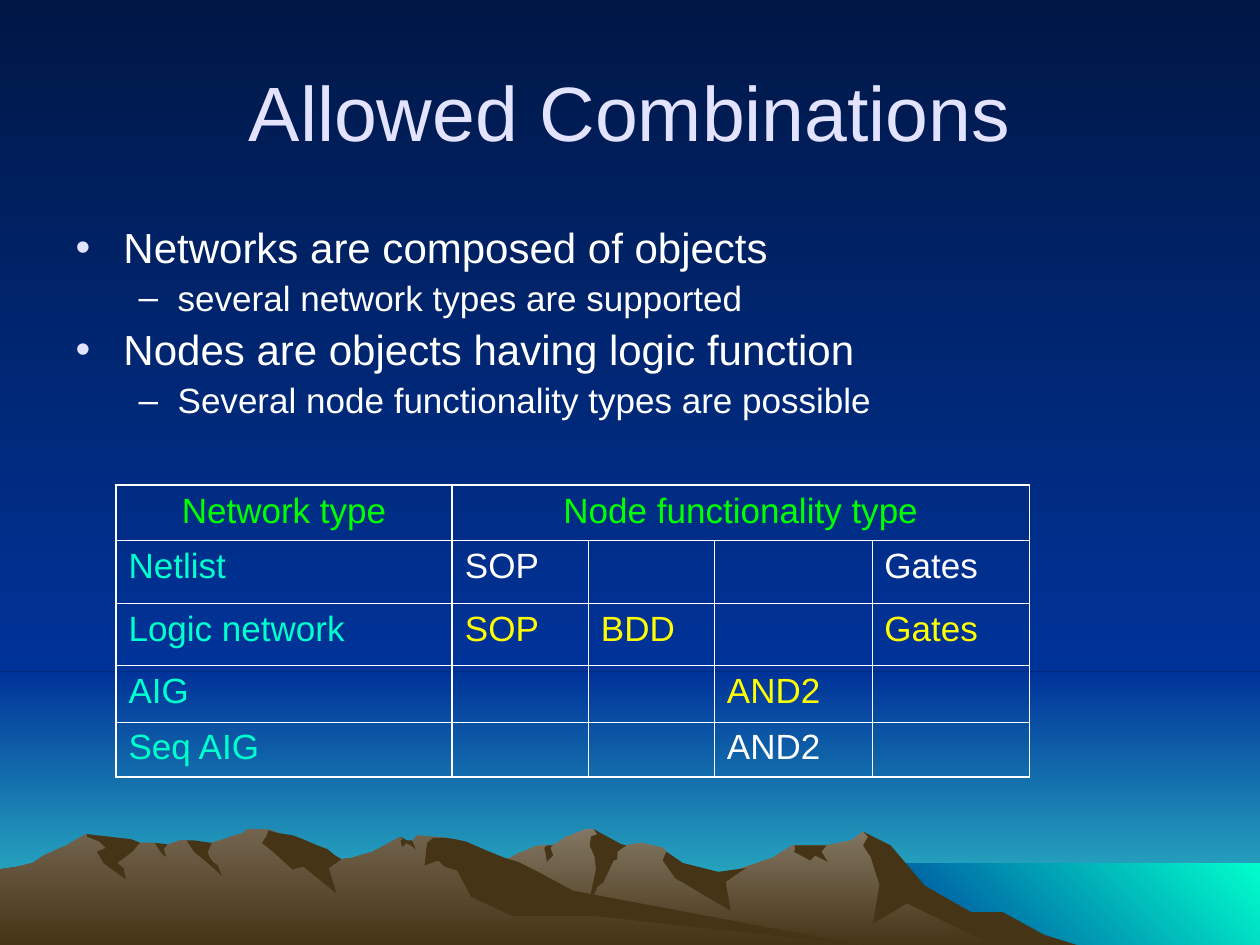
from dataclasses import dataclass

import pptx
import pptx.dml.color
import pptx.enum.shapes
import pptx.enum.text
import pptx.oxml
import pptx.oxml.ns
import pptx.util

Inches = pptx.util.Inches
Align = pptx.enum.text.PP_ALIGN


@dataclass(frozen=True)
class Theme:
    font: str = "Arial"
    title_size: int = 44
    bullet_size: int = 24
    small_size: int = 20
    white: str = "FFFFFF"
    lavender: str = "E3E3FF"
    green: str = "00FF00"
    aqua: str = "00FFCC"
    yellow: str = "FFFF00"
    night: str = "001746"
    blue: str = "003399"
    horizon: str = "33CCCC"
    shade: str = "463416"
    rock: str = "72644E"
    pale_rock: str = "837763"
    light_line: float = 0.45
    heavy_line: float = 1.08


THEME = Theme()

SKY = [
    ((0, 5.33, 10, 2.17), (THEME.blue, THEME.horizon), 90),
    ((0, 0, 10, 5.33), (THEME.night, THEME.blue), 90),
    ((6.83, 6.85, 3.17, 0.67), (THEME.aqua, THEME.blue), 135),
]

RIGHT_RANGE = """8.02,7.4 7.78,7.27 7.64,7.23 7.23,6.98 7.02,6.71 6.85,6.6 6.76,6.67 6.56,6.71
6.29,6.71 6.13,6.81 5.66,6.97 5.36,6.9 5.29,6.76 5.26,6.73 5.09,6.69 4.97,6.71 4.86,6.73 4.74,6.61
4.71,6.58 4.65,6.58 4.5,6.64 4.48,6.65 4.44,6.68 4.38,6.71 4.3,6.71 4.24,6.72 4.18,6.75 4.12,6.77
4.05,6.81 3.99,6.83 3.94,6.85 3.55,6.98 3.27,7.09 2.77,7.39 2.58,7.51 8.21,7.51"""

RIGHT_SHADOWS = [
    """7.96,7.24 7.71,7.24 7.34,7.03 7.07,6.71 6.85,6.6 6.89,6.64 6.85,6.71 6.91,6.8 6.98,7.02
    6.93,7.33 7.2,7.17 7.92,7.52 8.58,7.51 8.29,7.42""",
    """4.71,6.58 4.74,6.62 4.69,6.64 4.68,6.71 4.72,6.8 4.73,6.9 4.65,7.27 4.74,7.04 4.79,7
    4.87,6.83 4.9,6.82 4.9,6.76 4.97,6.71 4.93,6.7""",
    """5.29,6.76 5.28,6.78 5.26,6.83 5.36,6.97 5.8,7.23 5.76,7 5.92,6.89 5.7,6.92 5.42,6.85""",
    """6.5,6.71 6.3,6.71 6.31,6.72 6.31,6.75 6.3,6.76 6.43,6.83 6.47,6.79 6.57,6.84 6.52,6.76
    6.56,6.71""",
    """4.33,6.77 4.32,6.73 4.34,6.71 4.38,6.71 4.39,6.7 4.37,6.73 4.39,6.79 4.34,6.84""",
]

LEFT_RANGE = """6.9,7.51 6.67,7.48 4.32,7.12 3.54,6.65 3.31,6.63 3.27,6.68 3.23,6.68 3.18,6.64
2.96,6.76 2.79,6.81 2.71,6.82 2.6,6.76 2.36,6.81 2.23,6.63 2.19,6.6 2.15,6.59 2.12,6.58 1.96,6.58
1.94,6.6 1.91,6.62 1.86,6.63 1.78,6.66 1.68,6.69 1.6,6.71 1.48,6.67 1.43,6.67 1.32,6.71 1.28,6.71
1.23,6.69 1.11,6.69 0.94,6.71 0.68,6.62 0.56,6.69 0.53,6.71 0.46,6.74 0.35,6.79 0.26,6.85 0.14,6.88
0,6.9 0,7.51"""

LEFT_SHADOWS = [
    """2.12,6.63 2.08,6.69 2.19,6.78 2.32,6.9 2.41,6.88 2.67,7.09 2.61,6.89 2.71,6.82 2.66,6.79
    2.6,6.74 2.52,6.71 2.45,6.68 2.38,6.65 2.32,6.63 2.26,6.62 2.2,6.61 2.13,6.59""",
    """3.7,6.68 3.61,6.66 3.54,6.65 3.44,6.65 3.39,6.69 3.37,6.87 3.48,6.83 3.53,6.88 3.63,6.91
    3.74,7.12 4.07,7.27 4.72,7.27 6.9,7.51 6.83,7.5 4.55,7.07 4.27,6.92 4.11,6.84 4.01,6.81
    3.86,6.75""",
    """3.18,6.67 3.2,6.66 3.18,6.64 3.23,6.67 3.27,6.67 3.3,6.74 3.26,6.71 3.22,6.69 3.21,6.71
    3.19,6.72""",
    """1.54,6.67 1.61,6.68 1.68,6.69 1.65,6.76 1.66,6.8 1.69,6.84 1.73,6.87 1.76,6.95 1.65,6.85
    1.54,6.76 1.48,6.67""",
    """1.33,6.7 1.3,6.74 1.32,6.8 1.29,6.78 1.26,6.74 1.23,6.69""",
    """1.09,6.68 1.11,6.69 1.05,6.76 0.93,6.85 0.98,6.89 1,6.98 0.82,6.85 0.77,6.76 0.84,6.73
    0.79,6.68 0.69,6.64 0.69,6.62 0.77,6.63 0.86,6.64 0.94,6.65 1.04,6.66""",
]

BULLETS = [
    ("Networks are composed of objects", 0),
    ("several network types are supported", 1),
    ("Nodes are objects having logic function", 0),
    ("Several node functionality types are possible", 1),
]

COLUMNS = [2.67, 1.08, 1, 1.25, 1.25]
ROWS = [0.44, 0.5, 0.49, 0.45, 0.44]
NETWORKS = [
    ("Netlist", THEME.white, {1: "SOP", 4: "Gates"}),
    ("Logic network", THEME.yellow, {1: "SOP", 2: "BDD", 4: "Gates"}),
    ("AIG", THEME.yellow, {3: "AND2"}),
    ("Seq AIG", THEME.white, {3: "AND2"}),
]


def rgb(color):
    return pptx.dml.color.RGBColor.from_string(color)


def paint_gradient(fill, colors, angle):
    fill.gradient()
    fill.gradient_angle = 360 - angle
    for stop, color in zip(fill.gradient_stops, colors):
        stop.color.rgb = rgb(color)


def finish_shape(shape, colors, angle=90):
    shape.shadow.inherit = False
    shape.line.fill.background()
    if len(colors) == 1:
        shape.fill.solid()
        shape.fill.fore_color.rgb = rgb(colors[0])
    else:
        paint_gradient(shape.fill, colors, angle)


def add_panel(page, place, colors, angle):
    rectangle = pptx.enum.shapes.MSO_SHAPE.RECTANGLE
    panel = page.shapes.add_shape(rectangle, *map(Inches, place))
    finish_shape(panel, colors, angle)


def add_outline(page, outline, *colors):
    points = [tuple(Inches(float(n)) for n in pair.split(",")) for pair in outline.split()]
    builder = page.shapes.build_freeform(*points[0])
    builder.add_line_segments(points[1:], close=True)
    finish_shape(builder.convert_to_shape(), colors)


def add_mountains(page):
    add_outline(page, RIGHT_RANGE, THEME.pale_rock, THEME.shade)
    for shadow in RIGHT_SHADOWS:
        add_outline(page, shadow, THEME.shade)
    add_outline(page, LEFT_RANGE, THEME.rock, THEME.shade)
    for shadow in LEFT_SHADOWS:
        add_outline(page, shadow, THEME.shade)


def write(para, text, *, size, color, align=Align.LEFT):
    para.alignment = align
    span = para.add_run()
    span.text = text
    span.font.name = THEME.font
    span.font.size = pptx.util.Pt(size)
    span.font.color.rgb = rgb(color)


def place_box(box, left, top, width, height):
    box.left, box.top, box.width, box.height = map(Inches, (left, top, width, height))
    box.element.getparent().append(box.element)
    box.text_frame.word_wrap = True
    box.text_frame.auto_size = pptx.enum.text.MSO_AUTO_SIZE.NONE


def add_xml(parent, markup, index=None):
    namespace = pptx.oxml.ns.nsdecls("a")
    element = pptx.oxml.parse_xml(markup.replace(" ", f" {namespace} ", 1))
    parent.insert(len(parent) if index is None else index, element)


def fill_title(box):
    place_box(box, 0.5, 0.25, 9, 1.25)
    box.text_frame.vertical_anchor = pptx.enum.text.MSO_ANCHOR.MIDDLE
    write(box.text_frame.paragraphs[0], "Allowed Combinations",
          size=THEME.title_size, color=THEME.lavender, align=Align.CENTER)


def fill_bullets(box):
    place_box(box, 0.5, 1.75, 9.33, 1.75)
    levels = [
        ("•", THEME.lavender, THEME.bullet_size, 6, 0.38, -0.38),
        ("–", THEME.white, THEME.small_size, 5, 0.81, -0.31),
    ]
    for number, (text, level) in enumerate(BULLETS):
        mark, mark_color, size, gap, margin, indent = levels[level]
        para = box.text_frame.add_paragraph() if number else box.text_frame.paragraphs[0]
        para.level = level
        properties = para._p.get_or_add_pPr()
        properties.set("marL", str(Inches(margin)))
        properties.set("indent", str(Inches(indent)))
        add_xml(properties, f'<a:buClr ><a:srgbClr val="{mark_color}"/></a:buClr>')
        add_xml(properties, f'<a:buFont typeface="{THEME.font}"/>')
        add_xml(properties, f'<a:buChar char="{mark}"/>')
        para.line_spacing = 0.9
        para.space_before = pptx.util.Pt(gap if number else 0)
        write(para, text, size=size, color=THEME.white)


def set_borders(cell, row, column):
    last = column + (cell.span_width if cell.is_merge_origin else 1) - 1
    heavy_sides = {
        "L": column <= 1,
        "R": last in (0, len(COLUMNS) - 1),
        "T": row == 0,
        "B": row == len(ROWS) - 1,
    }
    for index, (side, heavy) in enumerate(heavy_sides.items()):
        width = pptx.util.Pt(THEME.heavy_line if heavy else THEME.light_line)
        add_xml(cell._tc.get_or_add_tcPr(),
                f'<a:ln{side} w="{width}"><a:solidFill><a:srgbClr val="{THEME.white}"/>'
                f'</a:solidFill></a:ln{side}>', index)


def add_combinations(page):
    place = map(Inches, (0.92, 3.85, sum(COLUMNS), sum(ROWS)))
    table = page.shapes.add_table(len(ROWS), len(COLUMNS), *place).table
    table.first_row = table.horz_banding = False
    for column, width in zip(table.columns, COLUMNS):
        column.width = Inches(width)
    for row, height in zip(table.rows, ROWS):
        row.height = Inches(height)
    table.cell(0, 1).merge(table.cell(0, len(COLUMNS) - 1))
    for row in range(len(ROWS)):
        for column in range(len(COLUMNS)):
            cell = table.cell(row, column)
            cell.fill.background()
            if not cell.is_spanned:
                set_borders(cell, row, column)

    def label(row, column, text, color, align=Align.LEFT):
        para = table.cell(row, column).text_frame.paragraphs[0]
        write(para, text, size=THEME.small_size, color=color, align=align)

    for column, heading in enumerate(["Network type", "Node functionality type"]):
        label(0, column, heading, THEME.green, Align.CENTER)
    for row, (network, color, functions) in enumerate(NETWORKS, 1):
        label(row, 0, network, THEME.aqua)
        for column, function in functions.items():
            label(row, column, function, color)


def main():
    deck = pptx.Presentation()
    deck.slide_width, deck.slide_height = Inches(10), Inches(7.5)
    page = deck.slides.add_slide(deck.slide_layouts[1])
    paint_gradient(page.background.fill, (THEME.night, THEME.blue), 90)
    for place, colors, angle in SKY:
        add_panel(page, place, colors, angle)
    add_mountains(page)
    fill_title(page.shapes.title)
    fill_bullets(page.placeholders[1])
    add_combinations(page)
    deck.save("out.pptx")


if __name__ == "__main__":
    main()
